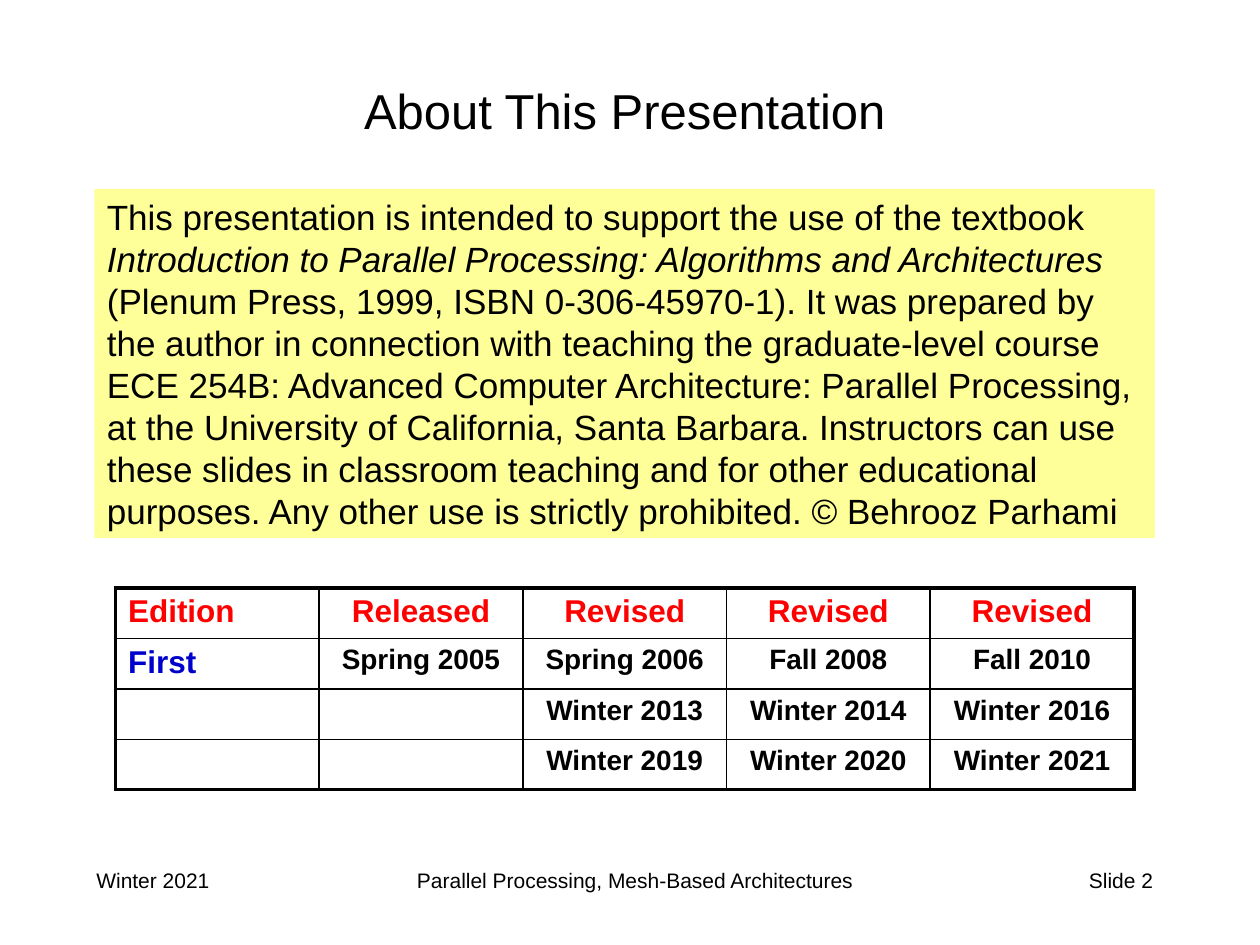
from lxml import etree
from pptx import Presentation
from pptx.dml.color import RGBColor
from pptx.enum import shapes, text
from pptx.oxml import ns
from pptx.util import Pt

COLOURS = {"black": "000000", "red": "FF0000", "blue": "0000CC",
           "yellow": "FFFF99"}
LEFT, CENTER, RIGHT = text.PP_ALIGN.LEFT, text.PP_ALIGN.CENTER, text.PP_ALIGN.RIGHT

INTRODUCTION = [
    [("This presentation is intended to support the use of the textbook ", False),
     ("Introduction to Parallel Processing: Algorithms and Architectures ", True),
     ("(Plenum Press, 1999, ISBN 0-306-45970-1). It was prepared by the author "
      "in connection with teaching the graduate-level course", False)],
    [("ECE 254B: Advanced Computer Architecture: Parallel Processing, "
      "at the University of California, Santa Barbara. Instructors can use "
      "these slides in classroom teaching and for other educational purposes. "
      "Any other use is strictly prohibited. © Behrooz Parhami", False)],
]
EDITIONS = [
    ["Edition", "Released", "Revised", "Revised", "Revised"],
    ["First", "Spring 2005", "Spring 2006", "Fall 2008", "Fall 2010"],
    ["", "", "Winter 2013", "Winter 2014", "Winter 2016"],
    ["", "", "Winter 2019", "Winter 2020", "Winter 2021"],
]
FOOTERS = [
    ("Winter 2021", 48, 150, LEFT),
    ("Parallel Processing, Mesh-Based Architectures", 174, 378, CENTER),
    ("Slide 2", 516, 150, RIGHT),
]


def colour(name):
    return RGBColor.from_string(COLOURS[name])


def add_span(para, words, size, ink="black", bold=False, italic=False):
    span = para.add_run()
    span.text = words
    span.font.name, span.font.size = "Arial", Pt(size)
    span.font.bold, span.font.italic = bold, italic
    span.font.color.rgb = colour(ink)


def add_footer(page, words, left, width, align):
    box = page.shapes.add_textbox(Pt(left), Pt(492), Pt(width), Pt(36))
    box.text_frame.word_wrap = True
    para = box.text_frame.paragraphs[0]
    para.alignment = align
    add_span(para, words, 12)


def set_title(page, words):
    title = page.shapes.title
    title.left, title.top, title.width, title.height = Pt(30), Pt(30), Pt(654), Pt(66)
    title.text_frame.vertical_anchor = text.MSO_ANCHOR.MIDDLE
    para = title.text_frame.paragraphs[0]
    para.alignment = CENTER
    add_span(para, words, 28)


def add_introduction(page):
    box = page.shapes.add_shape(shapes.MSO_SHAPE.RECTANGLE,
                                Pt(54), Pt(108), Pt(606), Pt(199.4))
    box.shadow.inherit = False
    box.fill.solid()
    box.fill.fore_color.rgb = colour("yellow")
    box.line.fill.background()
    frame = box.text_frame
    frame.word_wrap = True
    frame.vertical_anchor = text.MSO_ANCHOR.TOP
    for index, spans in enumerate(INTRODUCTION):
        para = frame.add_paragraph() if index else frame.paragraphs[0]
        para.alignment = LEFT
        para.line_spacing = Pt(24)
        for words, italic in spans:
            add_span(para, words, 20, italic=italic)


def set_borders(cell, outer_sides):
    """Draw all four borders, thicker on the sides at the table's edge."""
    properties = cell._tc.get_or_add_tcPr()
    for index, side in enumerate("LRTB"):
        width = Pt(2.25 if side in outer_sides else 1)
        line = etree.Element(ns.qn(f"a:ln{side}"), w=str(width))
        fill = etree.SubElement(line, ns.qn("a:solidFill"))
        etree.SubElement(fill, ns.qn("a:srgbClr"), val=COLOURS["black"])
        properties.insert(index, line)


def add_editions(page):
    rows, columns = len(EDITIONS), len(EDITIONS[0])
    table = page.shapes.add_table(rows, columns, Pt(66), Pt(336),
                                  Pt(582), Pt(115.2)).table
    table.first_row = table.horz_banding = False
    for r, entries in enumerate(EDITIONS):
        for c, words in enumerate(entries):
            cell = table.cell(r, c)
            cell.fill.background()
            edges = {"L": c == 0, "R": c == columns - 1,
                     "T": r == 0, "B": r == rows - 1}
            set_borders(cell, [side for side, outer in edges.items() if outer])
            if words:
                para = cell.text_frame.paragraphs[0]
                para.alignment = CENTER if c else LEFT
                ink = "red" if r == 0 else "black" if c else "blue"
                add_span(para, words, 16 if r and c else 18, ink, bold=True)


def main():
    deck = Presentation()
    deck.slide_width, deck.slide_height = Pt(720), Pt(540)
    page = deck.slides.add_slide(deck.slide_layouts[5])
    for footer in FOOTERS:
        add_footer(page, *footer)
    set_title(page, "About This Presentation")
    add_introduction(page)
    add_editions(page)
    deck.save("out.pptx")


if __name__ == "__main__":
    main()
